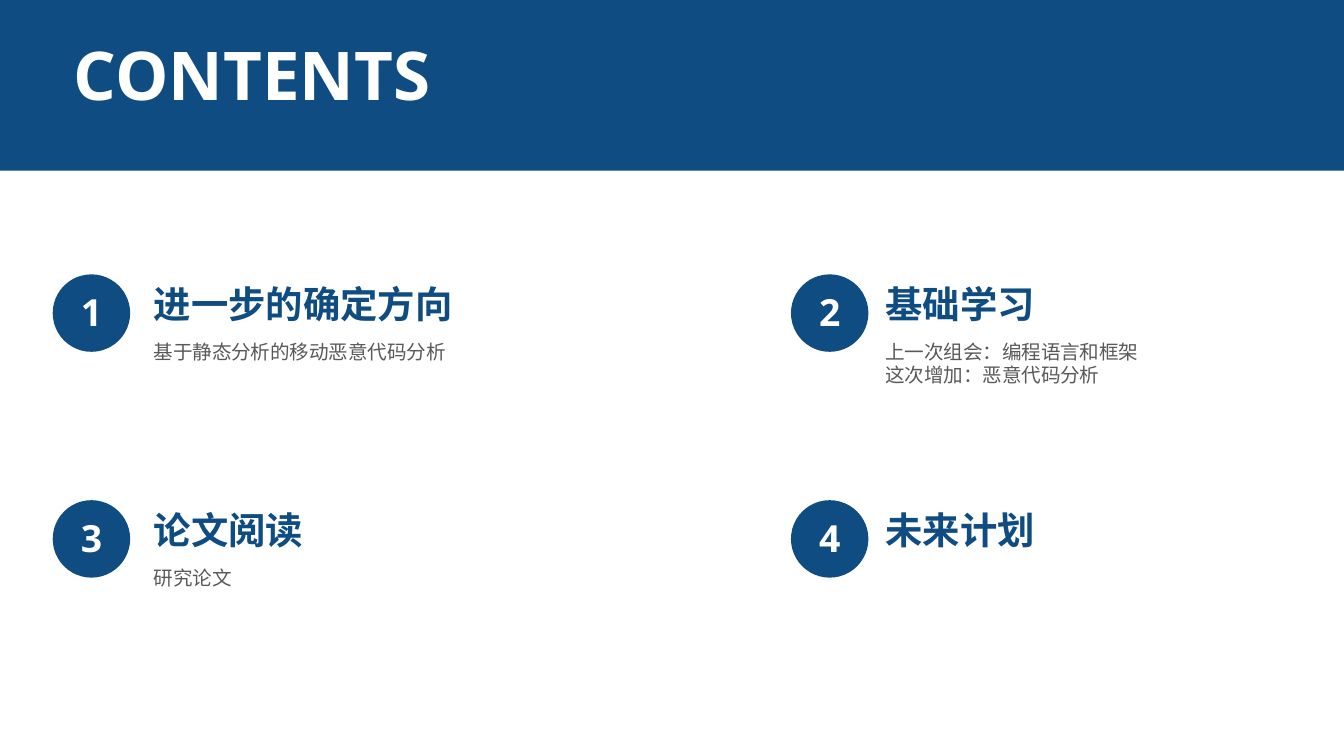
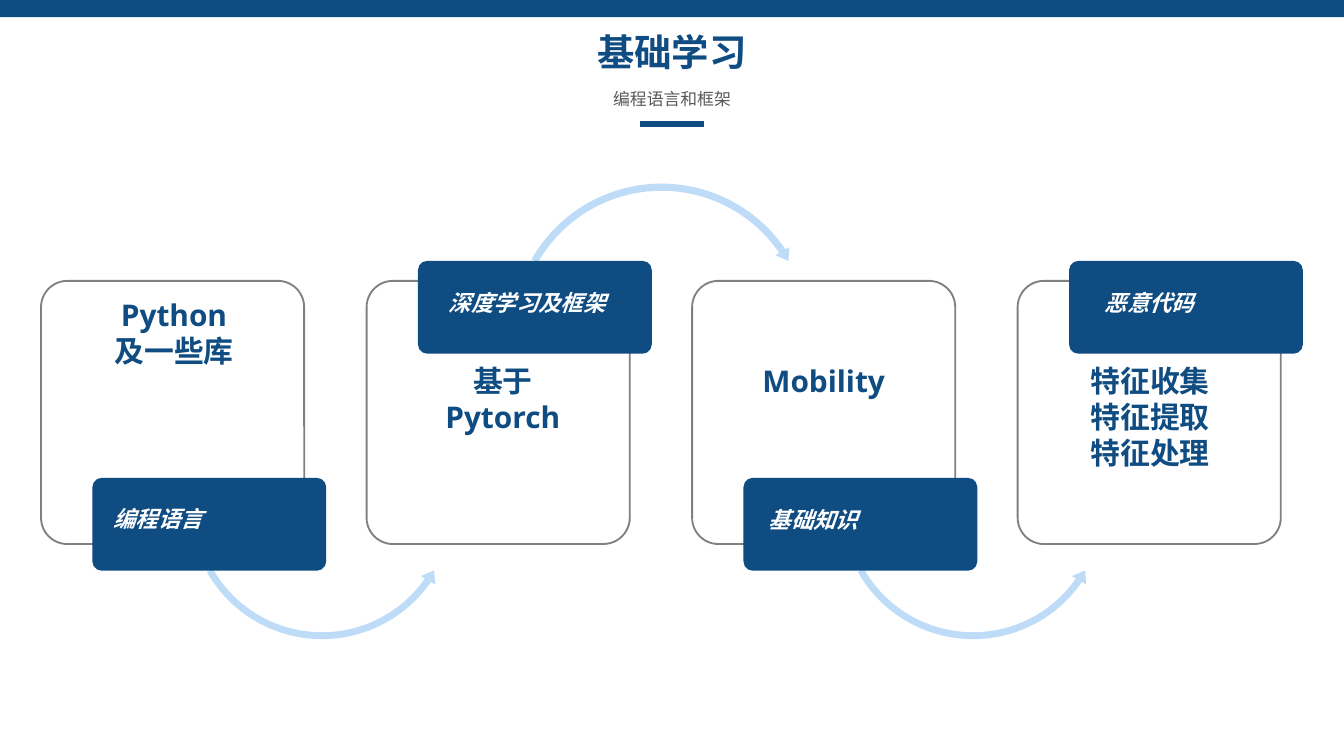
from lxml import etree
from pptx import Presentation
from pptx.dml.color import RGBColor
from pptx.enum.shapes import MSO_CONNECTOR, MSO_SHAPE
from pptx.enum.text import MSO_ANCHOR, MSO_AUTO_SIZE, PP_ALIGN
from pptx.oxml.ns import qn
from pptx.util import Pt

RECT, ROUND, OVAL = MSO_SHAPE.RECTANGLE, MSO_SHAPE.ROUNDED_RECTANGLE, MSO_SHAPE.OVAL
OVER, UNDER = MSO_SHAPE.CIRCULAR_ARROW, MSO_SHAPE.LEFT_CIRCULAR_ARROW
STRAIGHT = MSO_CONNECTOR.STRAIGHT
LEFT, MID = PP_ALIGN.LEFT, PP_ALIGN.CENTER
TOP, GROW = MSO_ANCHOR.TOP, MSO_AUTO_SIZE.SHAPE_TO_FIT_TEXT

NAVY = RGBColor(0x0F, 0x4C, 0x82)
SKY = RGBColor(0xBE, 0xDC, 0xF7)
GREY = RGBColor(0x59, 0x59, 0x59)
EDGE = RGBColor(0x80, 0x80, 0x80)
WHITE = RGBColor(0xFF, 0xFF, 0xFF)
FONT = "Open Sans"
WIDE, HIGH = 720, 405

TOPICS = [
    ("进一步的确定方向", 175, ["基于静态分析的移动恶意代码分析"], 173),
    ("基础学习", 95, ["上一次组会：编程语言和框架", "这次增加：恶意代码分析"], 152),
    ("论文阅读", 95, ["研究论文"], 57),
    ("未来计划", 95, [], 0),
]
# label, label offset and width, body lines, body offset and height, arrow, tag on top
STEPS = [
    ("编程语言", (31.75, 116.5), 63, ["Python", "及一些库"], (23.75, 5), 46, UNDER, False),
    ("深度学习及框架", (37, 0.75), 99, ["基于Pytorch"], (25.5, 40.25), 46, OVER, True),
    ("基础知识", (34, 117), 63, ["Mobility"], (23, 40.25), 27, UNDER, False),
    ("恶意代码", (39.5, 0.75), 63, ["特征收集", "特征提取", "特征处理"],
     (23.5, 40.25), 66, None, True),
]
# offset, size and adjustments of each arc
ARCS = {
    UNDER: (77, 47.5, 147, (0.025, 3.094, 20.849, 90.245, 0.03)),
    OVER: (75.5, -54.5, 165, (0.023, 2.738, 195.507, 125.755, 0.026)),
}


def pts(*nums):
    return [Pt(n) for n in nums]


def write(shape, lines, size=20, color=NAVY, bold=True, slant=False,
          align=LEFT, wrap=False):
    frame = shape.text_frame
    frame.word_wrap = wrap
    frame.auto_size = GROW
    frame.vertical_anchor = TOP
    for i, line in enumerate(lines):
        para = frame.add_paragraph() if i else frame.paragraphs[0]
        para.alignment = align
        run = para.add_run()
        run.text = line
        font = run.font
        font.name, font.size, font.bold, font.italic = FONT, Pt(size), bold, slant
        font.color.rgb = color
        latin = run._r.get_or_add_rPr().find(qn("a:latin"))
        east = etree.Element(qn("a:ea"), typeface=FONT)
        latin.addnext(east)


def label(slide, box, lines, **fmt):
    write(slide.shapes.add_textbox(*pts(*box)), lines, **fmt)


def head(slide, box, text, **fmt):
    """Format the title placeholder and bring it to the front."""
    title = slide.shapes.title
    title.left, title.top, title.width, title.height = pts(*box)
    write(title, [text], **fmt)
    slide.shapes.element.append(title.element)


def shape(slide, kind, box, fill=NAVY, adj=(), line=None, alpha=None):
    item = slide.shapes.add_shape(kind, *pts(*box))
    item.shadow.inherit = False
    item.fill.solid()
    item.fill.fore_color.rgb = fill
    if alpha:
        tint = item.element.spPr.find(qn("a:solidFill"))[0]
        etree.SubElement(tint, qn("a:alpha"), val=str(alpha * 1000))
    if line:
        item.line.color.rgb = line
        item.line.width = Pt(1)
    else:
        item.line.fill.background()
    for i, num in enumerate(adj):
        item.adjustments[i] = num
    return item


def rule(slide, x, y, wide):
    line = slide.shapes.add_connector(STRAIGHT, *pts(x, y, x + wide, y))
    line.line.color.rgb = NAVY
    line.line.width = Pt(3)
    etree.SubElement(line.element.spPr, qn("a:effectLst"))


def page(deck):
    """Add a title-only slide with the band along its top edge."""
    slide = deck.slides.add_slide(deck.slide_layouts[5])
    shape(slide, RECT, (0, 0, WIDE, 9.25))
    return slide


def topic(slide, x, y, inset, num, name, wide, notes, span):
    """Place a numbered disc with a heading and notes beside it."""
    shape(slide, OVAL, (x, y, 41.5, 41.5))
    label(slide, (x + 7.75, y + 4.5, 26, 31.5), [str(num)], color=WHITE, align=MID)
    label(slide, (x + inset, y, wide, 31.5), [name])
    if notes:
        tall = 7.5 + 12.5 * len(notes)
        label(slide, (x + inset, y + 31.5, span, tall), notes,
              size=10.5, color=GREY, bold=False)


def contents(deck):
    slide = page(deck)
    shape(slide, RECT, (0, -0.5, WIDE, 92))
    head(slide, (32.25, 14, 206, 51), "CONTENTS", size=36, color=WHITE)
    for i, item in enumerate(TOPICS):
        row, col = divmod(i, 2)
        topic(slide, 28.25 + 395.5 * col, 147 + 121 * row,
              (47, 43.5)[col], i + 1, *item)


def card(slide, x, y, arc, high):
    """Place an outlined box, the arc that leaves it and its tag."""
    shape(slide, ROUND, (x, y, 141, 141), WHITE, (0.1,), EDGE, 90)
    if arc:
        dx, dy, size, adj = ARCS[arc]
        shape(slide, arc, (x + dx, y + dy, size, size), SKY, adj)
    dy = -10.75 if high else 105.5
    shape(slide, ROUND, (x + 27.5, y + dy, 125.25, 49.75), adj=(0.1,))


def basics(deck):
    slide = page(deck)
    head(slide, (312.5, 12.25, 95, 31.5), "基础学习", align=MID)
    label(slide, (320, 44, 80, 18), ["编程语言和框架"],
          size=9, color=GREY, bold=False, align=MID)
    rule(slide, 343, 66.5, 34)
    y = 150.5
    for i, (name, at, wide, body, spot, tall, arc, high) in enumerate(STEPS):
        x = 22 + 174.4 * i
        card(slide, x, y, arc, high)
        label(slide, (x + at[0], y + at[1], wide, 21.5), [name],
              size=12, color=WHITE, slant=True)
        label(slide, (x + spot[0], y + spot[1], 95, tall), body,
              size=16, align=MID, wrap=True)


def main():
    deck = Presentation()
    deck.slide_width, deck.slide_height = pts(WIDE, HIGH)
    contents(deck)
    basics(deck)
    deck.save("out.pptx")


if __name__ == "__main__":
    main()
